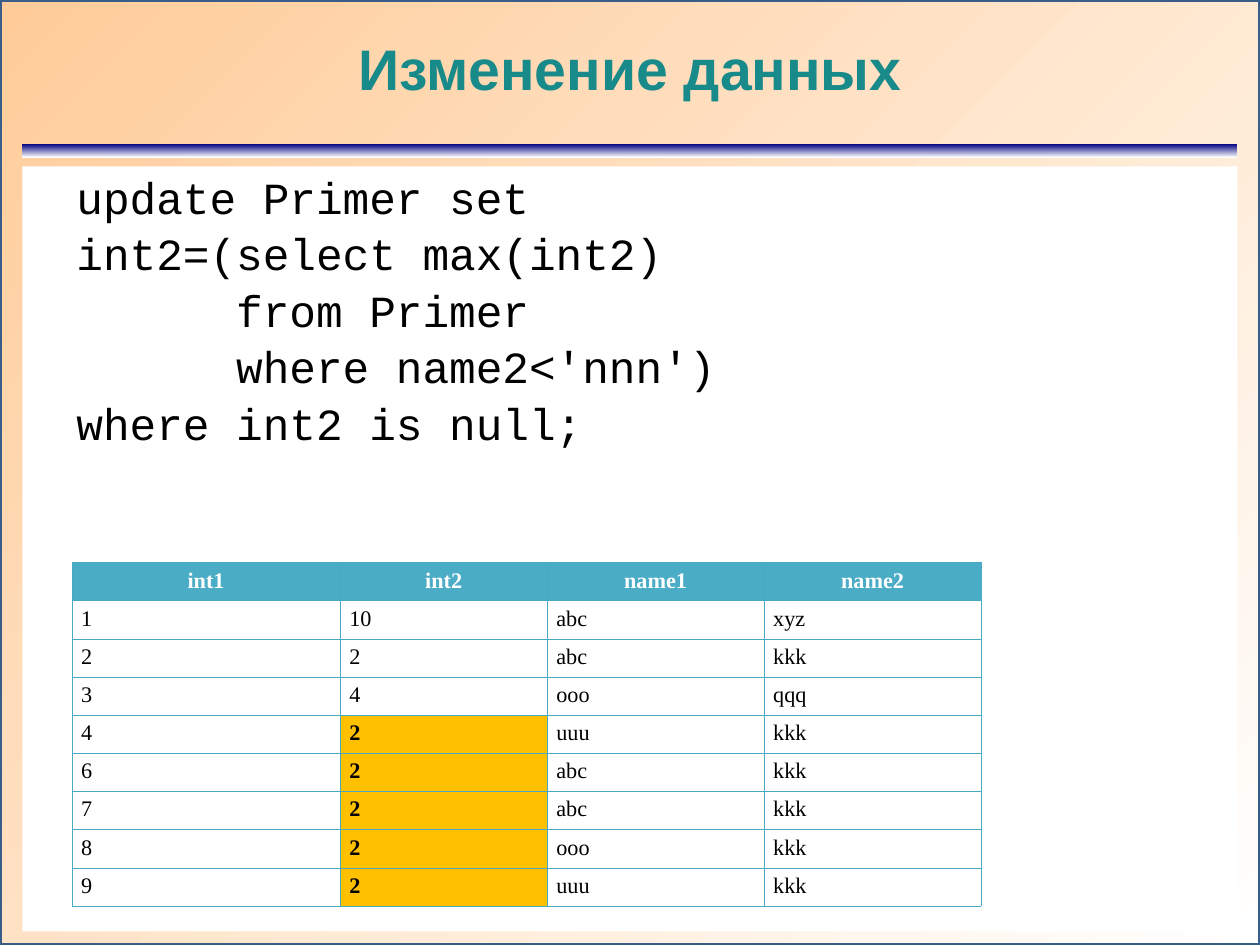
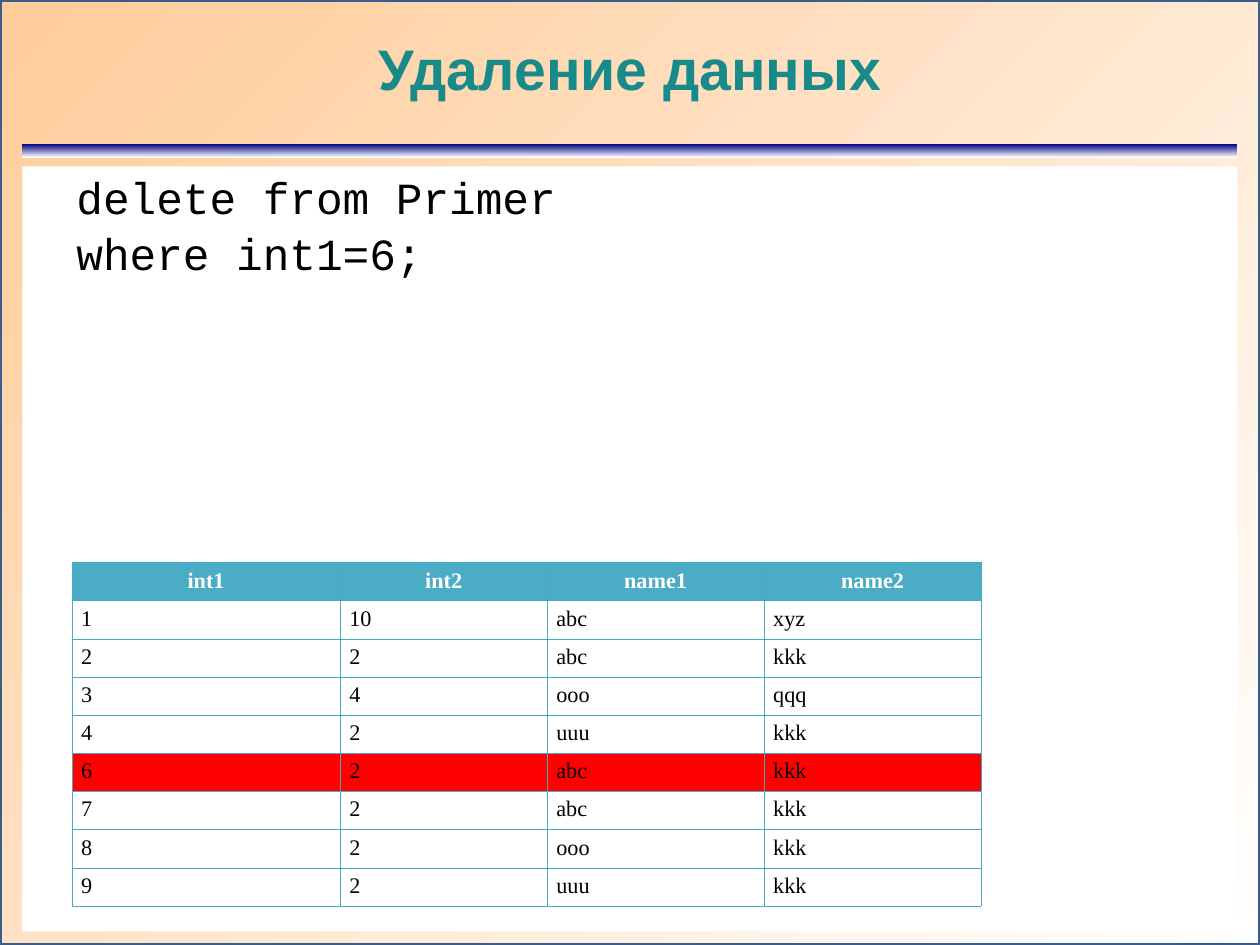
"""Build two slides on changing and deleting table data with SQL."""
import dataclasses

import pptx
import pptx.dml.color
import pptx.enum.shapes
import pptx.enum.text
import pptx.oxml
import pptx.oxml.ns
import pptx.util


@dataclasses.dataclass(frozen=True)
class Theme:
    paper: str = "FFFFFF"
    peach: str = "FFCC99"
    navy: str = "000080"
    frame: str = "385D8A"
    title: str = "198A8A"
    ink: str = "000000"
    header: str = "4BACC6"
    border: str = "46AAC5"
    changed: str = "FFC000"
    deleted: str = "FF0000"
    title_font: str = "Arial"
    code_font: str = "Courier New"
    table_font: str = "Times New Roman"
    title_size: int = 36
    code_size: int = 28
    table_size: int = 14
    frame_width: float = 2
    border_width: float = 0.34


theme = Theme()
Align = pptx.enum.text.PP_ALIGN
rgb = pptx.dml.color.RGBColor.from_string

presentation = pptx.Presentation()
presentation.slide_width = pptx.util.Cm(28)
presentation.slide_height = pptx.util.Cm(21)
COLUMNS, ROWS = 56, 42


def grid(left, top, width, height):
    """Turn grid columns and rows into lengths."""
    column = presentation.slide_width / COLUMNS
    row = presentation.slide_height / ROWS
    return [round(value) for value in (left * column, top * row, width * column, height * row)]


def write(frame, text, *, font, size, color, bold=False, align=Align.LEFT, spacing=1.0, indent=0):
    """Fill a text frame with one paragraph per line."""
    for index, line in enumerate(text.split("\n")):
        paragraph = frame.paragraphs[0] if index == 0 else frame.add_paragraph()
        paragraph.alignment = align
        paragraph.line_spacing = spacing
        if indent:
            properties = paragraph._p.get_or_add_pPr()
            properties.set("marL", str(indent))
            properties.set("indent", "0")
        run = paragraph.add_run()
        run.text = line
        run.font.name = font
        run.font.size = pptx.util.Pt(size)
        run.font.bold = bold
        run.font.color.rgb = rgb(color)


lessons = [
    {
        "title": "Изменение данных",
        "code": "update Primer set\n"
                "int2=(select max(int2)\n"
                "      from Primer\n"
                "      where name2<'nnn')\n"
                "where int2 is null;",
        "marked": {(row, 1) for row in range(4, 9)},
        "mark": theme.changed,
        "bold_mark": True,
    },
    {
        "title": "Удаление данных",
        "code": "delete from Primer\nwhere int1=6;",
        "marked": {(5, column) for column in range(4)},
        "mark": theme.deleted,
        "bold_mark": False,
    },
]
records = [
    ("int1", "int2", "name1", "name2"),
    ("1", "10", "abc", "xyz"),
    ("2", "2", "abc", "kkk"),
    ("3", "4", "ooo", "qqq"),
    ("4", "2", "uuu", "kkk"),
    ("6", "2", "abc", "kkk"),
    ("7", "2", "abc", "kkk"),
    ("8", "2", "ooo", "kkk"),
    ("9", "2", "uuu", "kkk"),
]
column_spans = [11.92, 9.2, 9.64, 9.64]
column_aligns = [Align.LEFT, Align.LEFT, Align.LEFT, Align.JUSTIFY]
row_span = 1.57

layout = presentation.slide_layouts.get_by_name("Title Only")
for placeholder in list(layout.placeholders):
    if placeholder.placeholder_format.type != pptx.enum.shapes.PP_PLACEHOLDER.TITLE:
        placeholder.element.getparent().remove(placeholder.element)
title = layout.placeholders[0]
title.left, title.top, title.width, title.height = grid(1, 1, 54, 4)
title.text_frame.auto_size = pptx.enum.text.MSO_AUTO_SIZE.NONE
title.text_frame.vertical_anchor = pptx.enum.text.MSO_ANCHOR.MIDDLE

slides = [presentation.slides.add_slide(layout) for lesson in lessons]

backdrop = slides[0].shapes.add_shape(
    pptx.enum.shapes.MSO_SHAPE.RECTANGLE, *grid(0, 0, COLUMNS, ROWS))
rule = slides[0].shapes.add_shape(
    pptx.enum.shapes.MSO_SHAPE.RECTANGLE, *grid(1, 6.4, 54, 0.6))
bands = [(backdrop, theme.paper, theme.peach, 135), (rule, theme.navy, theme.paper, 270)]
for position, (shape, start, end, angle) in enumerate(bands, 2):
    shape.shadow.inherit = False
    shape.fill.gradient()
    shape.fill.gradient_angle = angle
    for stop, color, place in zip(shape.fill.gradient_stops, (start, end), (0, 1)):
        stop.color.rgb = rgb(color)
        stop.position = place
    shape.line.fill.background()
    layout.shapes.element.insert(position, shape.element)
backdrop.line.color.rgb = rgb(theme.frame)
backdrop.line.width = pptx.util.Pt(theme.frame_width)

for slide, lesson in zip(slides, lessons):
    panel = slide.shapes.add_textbox(*grid(1, 7.4, 54, 34))
    panel.fill.solid()
    panel.fill.fore_color.rgb = rgb(theme.paper)
    for frame in (slide.shapes.title.text_frame, panel.text_frame):
        frame.word_wrap = True
        frame.margin_left = frame.margin_right = frame.margin_top = frame.margin_bottom = 0
    write(slide.shapes.title.text_frame, lesson["title"], font=theme.title_font,
          size=theme.title_size, color=theme.title, bold=True, align=Align.CENTER)
    write(panel.text_frame, lesson["code"], font=theme.code_font, size=theme.code_size,
          color=theme.ink, spacing=1.06, indent=grid(2.4, 0, 0, 0)[0])

    table = slide.shapes.add_table(
        len(records), len(column_spans),
        *grid(3.2, 25, sum(column_spans), row_span * len(records))).table
    for column, span in zip(table.columns, column_spans):
        column.width = grid(0, 0, span, 0)[2]
    for row_index, record in enumerate(records):
        for column_index, value in enumerate(record):
            cell = table.cell(row_index, column_index)
            cell.margin_left = cell.margin_right = pptx.util.Inches(0.08)
            is_header = row_index == 0
            is_marked = (row_index, column_index) in lesson["marked"]
            for edge in ("lnL", "lnR", "lnT", "lnB"):
                cell._tc.get_or_add_tcPr().append(pptx.oxml.parse_xml(
                    f'<a:{edge} {pptx.oxml.ns.nsdecls("a")}'
                    f' w="{pptx.util.Pt(theme.border_width)}"><a:solidFill>'
                    f'<a:srgbClr val="{theme.border}"/></a:solidFill></a:{edge}>'))
            cell.fill.solid()
            cell.fill.fore_color.rgb = rgb(
                theme.header if is_header else lesson["mark"] if is_marked else theme.paper)
            write(cell.text_frame, value, font=theme.table_font, size=theme.table_size,
                  color=theme.paper if is_header else theme.ink,
                  bold=is_header or (is_marked and lesson["bold_mark"]),
                  align=Align.CENTER if is_header else column_aligns[column_index])

presentation.save("out.pptx")
